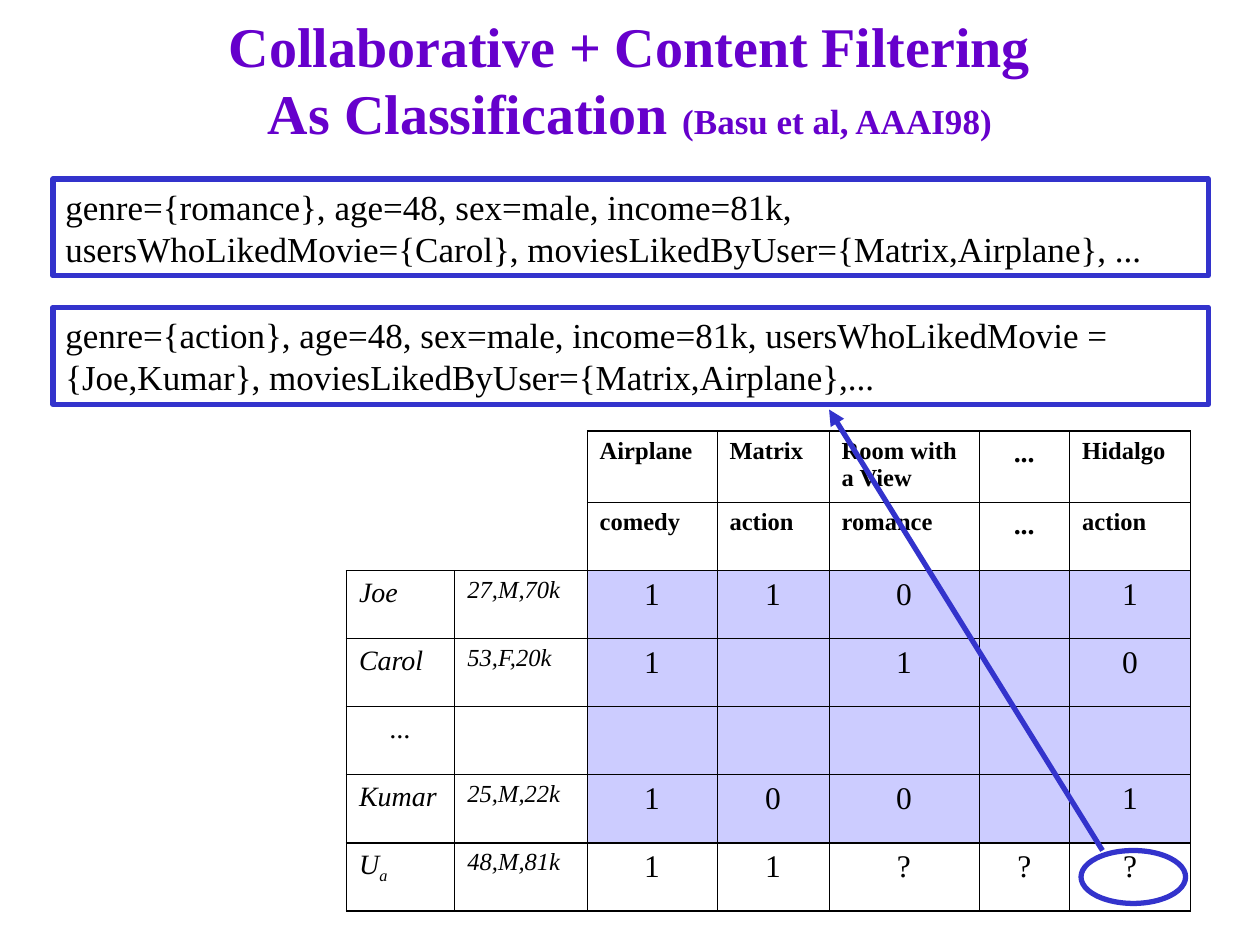
from lxml import etree
from pptx import Presentation
from pptx.dml.color import RGBColor
from pptx.enum import shapes, text
from pptx.oxml import ns
from pptx.util import Inches, Pt

PURPLE = RGBColor(0x66, 0x00, 0xCC)
BLUE = RGBColor(0x33, 0x33, 0xCC)
LILAC = RGBColor(0xCC, 0xCC, 0xFF)
BLACK = RGBColor(0, 0, 0)
FONT = "Times New Roman"
PLAIN = "{2D5ABB26-0587-4C30-8999-92F81FD0307C}"  # no style, no grid
THIN, THICK = 0.45, 1.08

COLS = [0.86, 1.05, 1.03, 0.89, 1.19, 0.72, 0.96]
ROWS = [0.57] + [0.54] * 6
GRID = [
    ["", "", "Airplane", "Matrix", "Room with a View", "...", "Hidalgo"],
    ["", "", "comedy", "action", "romance", "...", "action"],
    ["Joe", "27,M,70k", "1", "1", "0", "", "1"],
    ["Carol", "53,F,20k", "1", "", "1", "", "0"],
    ["...", "", "", "", "", "", ""],
    ["Kumar", "25,M,22k", "1", "0", "0", "", "1"],
    ["U", "48,M,81k", "1", "1", "?", "?", "?"],
]
HEAD, SIDE = 2, 2  # heading rows and columns
LAST = len(GRID) - 1
END = len(COLS) - 1


def edges(row, col):
    """Border widths of a cell; zero means no line."""
    wide = {"L": col == 0, "R": col == END,
            "T": row in (0, LAST), "B": row >= LAST - 1}
    blank = row < HEAD and col < SIDE
    drawn = {"L": not blank, "R": not blank or col == SIDE - 1,
             "T": not blank, "B": not blank or row == HEAD - 1}
    return {side: (THICK if wide[side] else THIN) if drawn[side] else 0
            for side in "LRTB"}


def look(row, col, words):
    """Size, bold, italic and centring of a cell's text."""
    dots = words == "..."
    if row < HEAD:
        return 16 if dots else 14, True, False, dots
    if col < SIDE:
        return 14 if col else 16, False, True, dots
    return 18, False, False, True


class Deck:
    def __init__(self):
        self.prs = Presentation()
        self.prs.slide_width, self.prs.slide_height = Inches(10), Inches(7.5)
        self.slide = self.prs.slides.add_slide(self.prs.slide_layouts[6])
        self.items = self.slide.shapes

    def run(self, para, words, size, color=BLACK, bold=False, italic=False):
        run = para.add_run()
        run.text = words
        font = run.font
        font.name, font.size = FONT, Pt(size)
        font.bold, font.italic = bold, italic
        font.color.rgb = color
        return run

    def title(self, x, y, w, h):
        box = self.items.add_textbox(*map(Inches, (x, y, w, h)))
        frame = box.text_frame
        frame.word_wrap = True
        frame.vertical_anchor = text.MSO_ANCHOR.MIDDLE
        para = frame.paragraphs[0]
        para.alignment = text.PP_ALIGN.CENTER
        self.run(para, "Collaborative + Content Filtering", 32, PURPLE, True)
        para.add_line_break()
        self.run(para, "As Classification ", 32, PURPLE, True)
        self.run(para, "(Basu et al, AAAI98)", 20, PURPLE, True)

    def stroke(self, item):
        item.line.color.rgb = BLUE
        item.line.width = Pt(3)

    def shape(self, kind, x, y, w, h):
        item = self.items.add_shape(kind, *map(Inches, (x, y, w, h)))
        item.shadow.inherit = False
        item.fill.background()
        self.stroke(item)
        return item

    def box(self, y, words):
        item = self.shape(shapes.MSO_SHAPE.RECTANGLE, 0.42, y, 9.17, 0.77)
        frame = item.text_frame
        frame.word_wrap = True
        frame.auto_size = text.MSO_AUTO_SIZE.SHAPE_TO_FIT_TEXT
        frame.vertical_anchor = text.MSO_ANCHOR.TOP
        para = frame.paragraphs[0]
        para.alignment = text.PP_ALIGN.LEFT
        self.run(para, words, 20)

    def arrow(self, *ends):
        item = self.items.add_connector(
            shapes.MSO_CONNECTOR.STRAIGHT, *map(Inches, ends))
        self.stroke(item)
        line = item.line._get_or_add_ln()
        etree.SubElement(line, ns.qn("a:tailEnd"), type="triangle")
        etree.SubElement(item._element.spPr, ns.qn("a:effectLst"))

    def border(self, cell, widths):
        props = cell._tc.get_or_add_tcPr()
        for side, width in widths.items():
            line = etree.SubElement(props, ns.qn("a:ln" + side),
                                    w=str(int(Pt(width))))
            if width:
                fill = etree.SubElement(line, ns.qn("a:solidFill"))
                etree.SubElement(fill, ns.qn("a:srgbClr"), val=str(BLACK))
            else:
                etree.SubElement(line, ns.qn("a:noFill"))

    def cell(self, cell, row, col, words):
        self.border(cell, edges(row, col))
        if HEAD <= row < LAST and col >= SIDE:
            cell.fill.solid()
            cell.fill.fore_color.rgb = LILAC
        else:
            cell.fill.background()
        if not words:
            return
        size, bold, italic, mid = look(row, col, words)
        para = cell.text_frame.paragraphs[0]
        para.alignment = text.PP_ALIGN.CENTER if mid else text.PP_ALIGN.LEFT
        self.run(para, words, size, BLACK, bold, italic)
        if words == "U":
            sub = self.run(para, "a", size, BLACK, bold, italic)
            sub.font._element.set("baseline", "-25000")

    def table(self, x, y):
        frame = self.items.add_table(
            len(ROWS), len(COLS), Inches(x), Inches(y),
            Inches(sum(COLS)), Inches(sum(ROWS)))
        table = frame.table
        table.first_row = table.horz_banding = False
        table._tbl.tblPr.find(ns.qn("a:tableStyleId")).text = PLAIN
        for col, width in zip(table.columns, COLS):
            col.width = Inches(width)
        for row, height in zip(table.rows, ROWS):
            row.height = Inches(height)
        for r, line in enumerate(GRID):
            for c, words in enumerate(line):
                self.cell(table.cell(r, c), r, c, words)


def main():
    deck = Deck()
    deck.title(0.75, 0, 8.5, 1.25)
    deck.table(2.75, 3.42)
    deck.box(1.42, "genre={romance}, age=48, sex=male, income=81k, "
             "usersWhoLikedMovie={Carol}, "
             "moviesLikedByUser={Matrix,Airplane}, ...")
    deck.arrow(8.75, 6.75, 6.58, 3.25)
    deck.shape(shapes.MSO_SHAPE.OVAL, 8.58, 6.75, 0.83, 0.42)
    deck.box(2.44, "genre={action}, age=48, sex=male, income=81k, "
             "usersWhoLikedMovie = {Joe,Kumar}, "
             "moviesLikedByUser={Matrix,Airplane},...")
    deck.prs.save("out.pptx")


if __name__ == "__main__":
    main()
